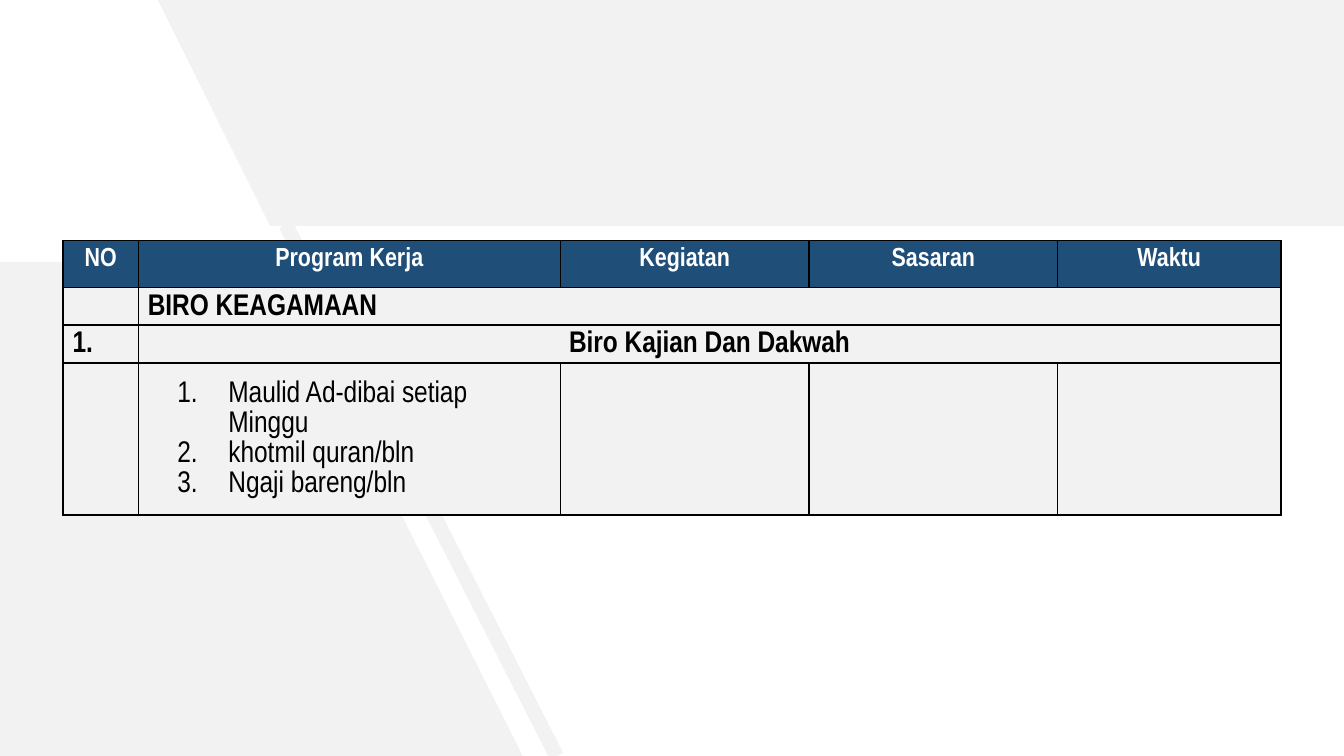
from dataclasses import dataclass

from lxml.etree import SubElement
from pptx import Presentation
from pptx.dml.color import RGBColor
from pptx.enum.shapes import MSO_SHAPE
from pptx.enum.text import MSO_ANCHOR, PP_ALIGN
from pptx.oxml.ns import qn
from pptx.util import Inches, Pt


@dataclass(frozen=True)
class Theme:
    """Colours, font and type sizes of the slide."""
    panel: str = "F2F2F2"
    header: str = "1F4E79"
    light: str = "FFFFFF"
    dark: str = "000000"
    font: str = "Arial Narrow"
    header_size: int = 14
    body_size: int = 16


THEME = Theme()
SLIDE_WIDTH = 10
SLIDE_HEIGHT = SLIDE_WIDTH * 9 / 16
COLUMNS = (0.56, 3.14, 1.85, 1.85, 1.66)
ROWS = (0.35, 0.28, 0.28, 1.13)
HEADINGS = ("NO", "Program Kerja", "Kegiatan", "Sasaran", "Waktu")
PROGRAMS = ("Maulid Ad-dibai setiap Minggu", "khotmil quran/bln", "Ngaji bareng/bln")


def paint(shape, color):
    """Give a shape a plain fill with no line or shadow."""
    shape.shadow.inherit = False
    shape.fill.solid()
    shape.fill.fore_color.rgb = RGBColor.from_string(color)
    shape.line.fill.background()


def add_polygon(slide, points, color):
    """Draw a closed filled outline through points in inches."""
    corners = [(Inches(x), Inches(y)) for x, y in points]
    builder = slide.shapes.build_freeform(*corners[0])
    builder.add_line_segments(corners[1:], close=True)
    paint(builder.convert_to_shape(), color)


def add_background(slide, left, top, width, height):
    """Place the two slanted panels and the diagonal stripe."""
    right, bottom = left + width, top + height
    add_polygon(slide, [(left + 1.16, top - 0.03), (right, top - 0.02),
                        (right, top + 1.68), (left + 2.01, top + 1.68)], THEME.panel)
    add_polygon(slide, [(left, top + 1.95), (left + 2.04, top + 1.95),
                        (left + 3.89, bottom), (left, bottom)], THEME.panel)
    stripe = slide.shapes.add_shape(MSO_SHAPE.RECTANGLE, Inches(left + 3.08),
                                    Inches(top + 1.43), Inches(0.11), Inches(4.44))
    stripe.rotation = 333
    paint(stripe, THEME.panel)


def write(paragraph, text, *, size=THEME.body_size, color=THEME.dark, bold=True,
          align=PP_ALIGN.LEFT, spacing=1.07, after=0, numbered=False):
    """Write formatted text into a paragraph."""
    paragraph.alignment = align
    paragraph.line_spacing = spacing
    paragraph.space_after = Pt(after)
    if numbered:
        properties = paragraph._p.get_or_add_pPr()
        properties.set("marL", str(Inches(0.6)))
        properties.set("indent", str(Inches(-0.38)))
        SubElement(properties, qn("a:buAutoNum"), type="arabicPeriod")
    run = paragraph.add_run()
    run.text = text
    run.font.name = THEME.font
    run.font.size = Pt(size)
    run.font.bold = bold
    run.font.color.rgb = RGBColor.from_string(color)


def style_cell(cell, color, anchor, margin_top):
    """Set the borders, fill, margins and empty-text size of a cell."""
    properties = cell._tc.get_or_add_tcPr()
    for side in ("lnL", "lnR", "lnT", "lnB"):
        line = SubElement(properties, qn(f"a:{side}"), w=str(Pt(1)))
        fill = SubElement(line, qn("a:solidFill"))
        SubElement(fill, qn("a:srgbClr"), val=THEME.dark)
    cell.fill.solid()
    cell.fill.fore_color.rgb = RGBColor.from_string(color)
    cell.margin_left = cell.margin_right = Inches(0.07)
    cell.margin_top = Inches(margin_top)
    cell.margin_bottom = 0
    cell.vertical_anchor = anchor
    if not cell.text_frame.text:
        SubElement(cell.text_frame.paragraphs[0]._p, qn("a:endParaRPr"),
                   sz=str(THEME.header_size * 100))


def add_program_table(slide, left, top, width, height):
    """Place the work programme table."""
    frame = slide.shapes.add_table(len(ROWS), len(COLUMNS), Inches(left), Inches(top),
                                   Inches(width), Inches(height))
    table = frame.table
    table.first_row = table.horz_banding = False
    for column, size in zip(table.columns, COLUMNS):
        column.width = Inches(size)
    for row, size in zip(table.rows, ROWS):
        row.height = Inches(size)
    for row in (1, 2):
        table.cell(row, 1).merge(table.cell(row, len(COLUMNS) - 1))

    for column, heading in enumerate(HEADINGS):
        write(table.cell(0, column).text_frame.paragraphs[0], heading,
              size=THEME.header_size, color=THEME.light, align=PP_ALIGN.CENTER, spacing=1.0)
    for row, column, text, align in ((1, 1, "BIRO KEAGAMAAN", PP_ALIGN.LEFT),
                                     (2, 0, "1.", PP_ALIGN.LEFT),
                                     (2, 1, "Biro Kajian Dan Dakwah", PP_ALIGN.CENTER)):
        write(table.cell(row, column).text_frame.paragraphs[0], text, align=align, after=8)
    programs = table.cell(3, 1).text_frame
    for index, program in enumerate(PROGRAMS):
        paragraph = programs.add_paragraph() if index else programs.paragraphs[0]
        write(paragraph, program, bold=False, numbered=True)

    for index, row in enumerate(table.rows):
        for cell in row.cells:
            if index == 0:
                style_cell(cell, THEME.header, MSO_ANCHOR.TOP, 0.05)
            else:
                style_cell(cell, THEME.panel, MSO_ANCHOR.MIDDLE, 0)


def main():
    """Build and save the presentation."""
    presentation = Presentation()
    presentation.slide_width = Inches(SLIDE_WIDTH)
    presentation.slide_height = Inches(SLIDE_HEIGHT)
    slide = presentation.slides.add_slide(presentation.slide_layouts[6])
    add_background(slide, 0, 0, SLIDE_WIDTH, SLIDE_HEIGHT)
    add_program_table(slide, 0.47, 1.79, sum(COLUMNS), sum(ROWS))
    presentation.save("out.pptx")


if __name__ == "__main__":
    main()
